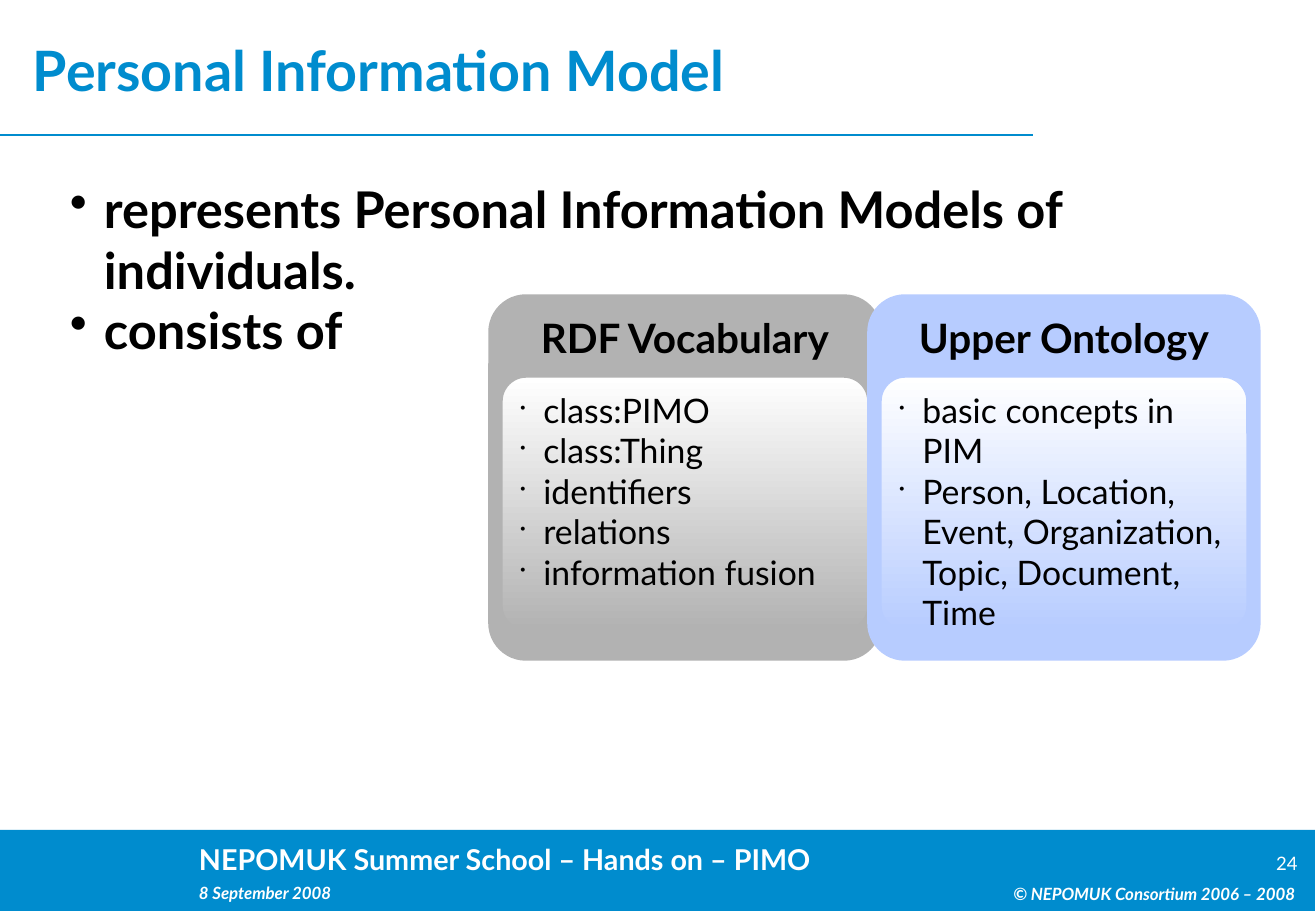
from lxml import etree
from pptx import Presentation
from pptx.dml.color import RGBColor
from pptx.enum.shapes import MSO_CONNECTOR, MSO_SHAPE
from pptx.enum.text import MSO_ANCHOR, PP_ALIGN
from pptx.oxml.ns import qn
from pptx.util import Pt

PX = 7532
FONT = "Lato"
BLUE = RGBColor(0x00, 0x8C, 0xCE)
GREY = RGBColor(0xB2, 0xB2, 0xB2)
LAVENDER = RGBColor(0xB7, 0xCC, 0xFF)
BLACK = RGBColor(0x00, 0x00, 0x00)
WHITE = RGBColor(0xFF, 0xFF, 0xFF)
LEFT, CENTER, RIGHT = PP_ALIGN.LEFT, PP_ALIGN.CENTER, PP_ALIGN.RIGHT
TOP, MIDDLE = MSO_ANCHOR.TOP, MSO_ANCHOR.MIDDLE
ROUNDED = MSO_SHAPE.ROUNDED_RECTANGLE
STRAIGHT = MSO_CONNECTOR.STRAIGHT

CARD_WIDTH, CARD_HEIGHT = 390, 363
CARDS = [
    (490, "RDF Vocabulary", GREY,
     ["class:PIMO", "class:Thing", "identifiers", "relations", "information fusion"]),
    (869, "Upper Ontology", LAVENDER,
     ["basic concepts in PIM",
      "Person, Location, Event, Organization, Topic, Document, Time"]),
]


def px(*lengths):
    return [length * PX for length in lengths]


def add_bullet(paragraph, indent, percent):
    properties = paragraph._p.get_or_add_pPr()
    properties.set("marL", str(indent[0] * PX))
    properties.set("indent", str(-indent[1] * PX))
    color = etree.SubElement(properties, qn("a:buClr"))
    etree.SubElement(color, qn("a:srgbClr"), val=str(BLACK))
    etree.SubElement(properties, qn("a:buSzPct"), val=str(percent * 1000))
    etree.SubElement(properties, qn("a:buChar"), char="•")


def write(shape, lines, size, color, bold=False, italic=False, align=LEFT,
          anchor=TOP, margins=(0, 0), spacing=None, indent=None, percent=100):
    frame = shape.text_frame
    frame.word_wrap = True
    frame.vertical_anchor = anchor
    frame.margin_left = frame.margin_right = margins[0] * PX
    frame.margin_top = frame.margin_bottom = margins[1] * PX
    for index, line in enumerate(lines):
        paragraph = frame.paragraphs[0] if index == 0 else frame.add_paragraph()
        paragraph.text = line
        if indent:
            add_bullet(paragraph, indent, percent)
        paragraph.alignment = align
        if spacing:
            paragraph.line_spacing = spacing
        font = paragraph.font
        font.name, font.size = FONT, Pt(size)
        font.bold, font.italic = bold, italic
        font.color.rgb = color


def add_rounded(shapes, box, color, adjustment, gradient=False):
    shape = shapes.add_shape(ROUNDED, *px(*box))
    shape.shadow.inherit = False
    shape.adjustments[0] = adjustment
    if gradient:
        shape.fill.gradient()
        shape.fill.gradient_angle = 270
        for stop, stop_color in zip(shape.fill.gradient_stops, (WHITE, color)):
            stop.color.rgb = stop_color
    else:
        shape.fill.solid()
        shape.fill.fore_color.rgb = color
    shape.line.color.rgb = color
    shape.line.width = Pt(2)
    return shape


def add_footer(slide, left, top, width, height):
    bar = add_rounded(slide.shapes, (left, top, width, height), BLUE, 0.002)
    bar.line.fill.background()
    small = {"size": 10, "bold": True, "italic": True, "margins": (11, 6), "spacing": 1.24}
    entries = [
        ((188, 42, 658, 36), "8 September 2008", small),
        ((1259, 21, 56, 25), "24", {"size": 11, "align": CENTER, "anchor": MIDDLE}),
        ((188, 6, 809, 46), "NEPOMUK Summer School – Hands on – PIMO",
         {"size": 17, "bold": True, "margins": (11, 6)}),
        ((949, 43, 357, 36), "© NEPOMUK Consortium 2006 – 2008", {**small, "align": RIGHT}),
    ]
    for (x, y, entry_width, entry_height), text, style in entries:
        box = slide.shapes.add_textbox(*px(left + x, top + y, entry_width, entry_height))
        write(box, [text], color=WHITE, **style)


def add_heading(slide, left, top, width, height):
    title = slide.shapes.title
    title.left, title.top, title.width, title.height = px(left, top, width, height)
    write(title, ["Personal Information Model"], 33, BLUE, bold=True, anchor=MIDDLE)
    rule_y = top + height + 6
    rule = slide.shapes.add_connector(STRAIGHT, *px(0, rule_y, left + width, rule_y))
    rule.line.color.rgb = BLUE
    rule.line.width = Pt(0.75)
    etree.SubElement(rule._element.spPr, qn("a:effectLst"))


def add_body(slide, left, top, width, height):
    body = slide.shapes.add_textbox(*px(left, top, width, height))
    write(body, ["represents Personal Information Models of individuals.", "consists of"],
          30, BLACK, bold=True, indent=(48, 34))


def add_card(slide, left, top, width, height, heading, color, items):
    shapes = slide.shapes.add_group_shape().shapes
    card = add_rounded(shapes, (left, top, width, height), color, 0.099)
    write(card, [heading], 24, BLACK, bold=True, align=CENTER, margins=(12, 6))
    panel_box = (left + 11, top + 80, width - 22, height - 108)
    panel = add_rounded(shapes, panel_box, color, 0.099, gradient=True)
    write(panel, items, 20, BLACK, margins=(12, 6), indent=(23, 23), percent=45)


def main():
    presentation = Presentation()
    presentation.slide_width, presentation.slide_height = px(1316, 911)
    slide = presentation.slides.add_slide(presentation.slide_layouts[5])
    add_footer(slide, 0, 830, 1315, 81)
    add_heading(slide, 33, 10, 1000, 119)
    add_body(slide, 56, 178, 1184, 566)
    for left, heading, color, items in CARDS:
        add_card(slide, left, 296, CARD_WIDTH, CARD_HEIGHT, heading, color, items)
    presentation.save("out.pptx")


if __name__ == "__main__":
    main()
